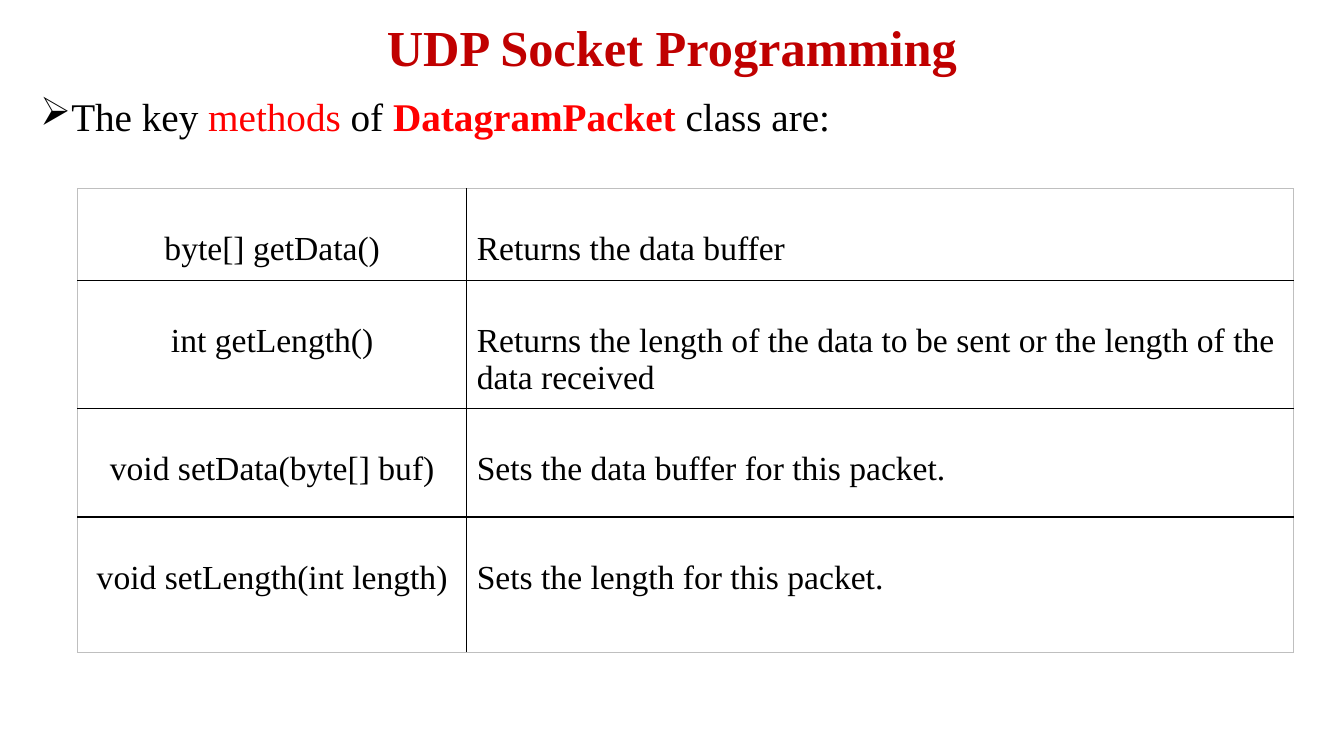
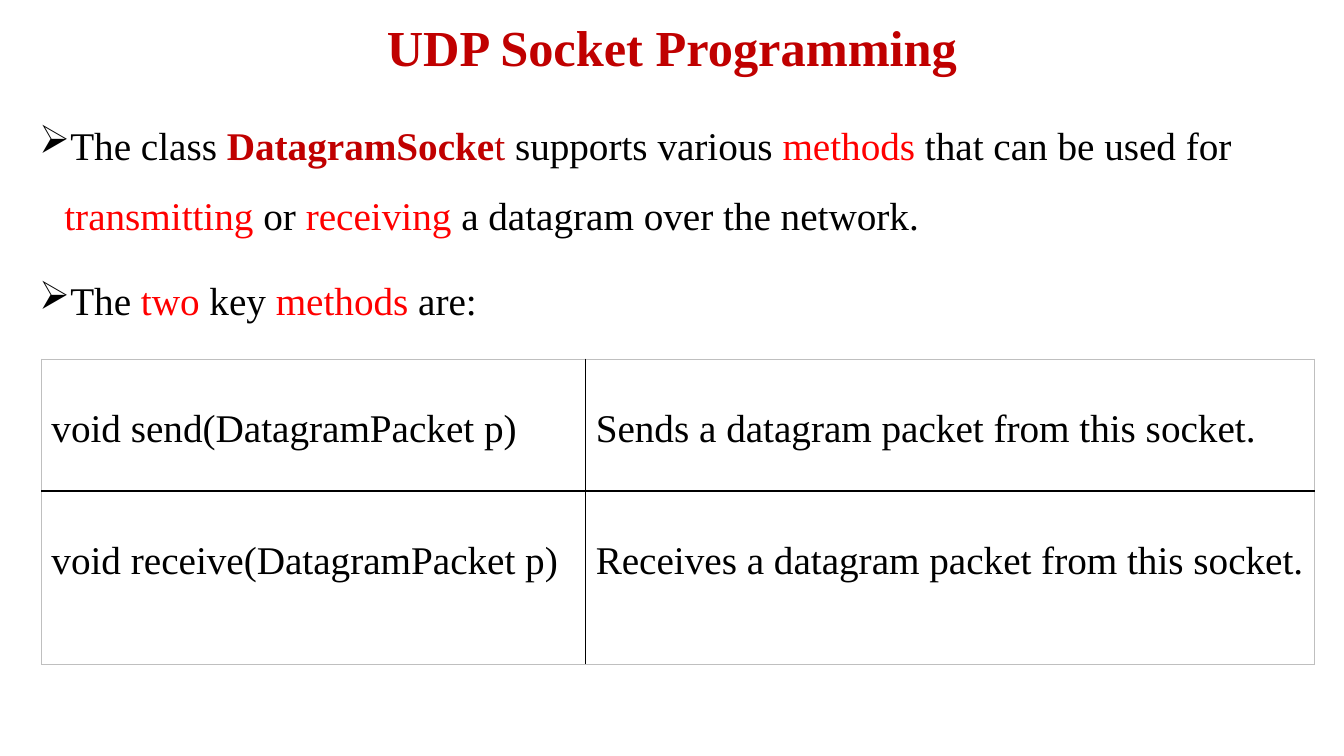
from lxml.etree import SubElement
from pptx import Presentation
from pptx.dml.color import RGBColor
from pptx.enum.text import MSO_ANCHOR, PP_ALIGN
from pptx.oxml import parse_xml
from pptx.oxml.ns import nsdecls, qn
from pptx.util import Inches, Pt

W, H = Inches(13.33), Inches(7.5)
FONT = "Times New Roman"
BLACK, RED, DARK_RED, GRAY = "000000", "FF0000", "C00000", "BFBFBF"
TITLE = "UDP Socket Programming"


def rgb(color):
    return RGBColor.from_string(color)


def across(percent):
    return int(W * percent / 100)


def down(percent):
    return int(H * percent / 100)


def place(sp, left, top, width, height):
    sp.left, sp.top = across(left), down(top)
    sp.width, sp.height = across(width), down(height)


def add_run(p, text, size, color=BLACK, bold=False):
    r = p.add_run()
    r.text = text
    r.font.name = FONT
    r.font.size = Pt(size)
    r.font.bold = bold
    r.font.color.rgb = rgb(color)


def add_titled_slide(prs):
    s = prs.slides.add_slide(prs.slide_layouts[5])
    sp = s.shapes.title
    place(sp, 16.25, 2.25, 67.5, 8.9)
    sp.text_frame.vertical_anchor = MSO_ANCHOR.MIDDLE
    p = sp.text_frame.paragraphs[0]
    p.alignment = PP_ALIGN.CENTER
    p.line_spacing = 0.9
    add_run(p, TITLE, 36, DARK_RED, True)
    return s


def add_bullets(s, left, width, line_spacing, bullets):
    sp = s.shapes.add_textbox(0, 0, 0, 0)
    place(sp, left, 12.25, width, 84.4)
    tf = sp.text_frame
    tf.word_wrap = True
    for i, runs in enumerate(bullets):
        p = tf.add_paragraph() if i else tf.paragraphs[0]
        p.line_spacing = line_spacing
        p.space_before = Pt(10)
        pPr = p._p.get_or_add_pPr()
        pPr.set("marL", str(Inches(0.25)))
        pPr.set("indent", str(-Inches(0.25)))
        SubElement(pPr, qn("a:buChar")).set("char", "➢")
        for run in runs:
            add_run(p, run[0], 28, *run[1:])


def set_borders(cell, outer):
    tcPr = cell._tc.get_or_add_tcPr()
    for i, side in enumerate("LRTB"):
        color, width = (GRAY, 0.5) if side in outer else (BLACK, 1)
        tcPr.insert(i, parse_xml(
            f'<a:ln{side} {nsdecls("a")} w="{Pt(width)}"><a:solidFill>'
            f'<a:srgbClr val="{color}"/></a:solidFill></a:ln{side}>'))


def add_method_table(s, left, top, cols, heights, size, margin_top, methods, name_align):
    frame = s.shapes.add_table(len(methods), len(cols), across(left), down(top),
                               across(sum(cols)), down(sum(heights)))
    table = frame.table
    table.first_row = table.horz_banding = False
    for col, width in zip(table.columns, cols):
        col.width = across(width)
    for i, (height, texts) in enumerate(zip(heights, methods)):
        table.rows[i].height = down(height)
        for j, text in enumerate(texts):
            cell = table.cell(i, j)
            cell.fill.background()
            cell.margin_top = Inches(margin_top)
            outer = "LR"[j]
            outer += "T" if i == 0 else ""
            outer += "B" if i == len(methods) - 1 else ""
            set_borders(cell, outer)
            p = cell.text_frame.paragraphs[0]
            p.alignment = PP_ALIGN.LEFT if j else name_align
            add_run(p, text, size)


def packet_slide(prs):
    s = add_titled_slide(prs)
    add_bullets(s, 2.25, 95.9, 0.9, [
        [("The key ",), ("methods", RED), (" of ",),
         ("DatagramPacket", RED, True), (" class are:",)],
    ])
    add_method_table(s, 5.78, 24.93, (28.95, 61.5), (12.13, 16.8, 14.4, 17.87), 24, 0.42, [
        ("byte[] getData()", "Returns the data buffer"),
        ("int getLength()",
         "Returns the length of the data to be sent or the length of the data received"),
        ("void setData(byte[] buf)", "Sets the data buffer for this packet."),
        ("void setLength(int length)", "Sets the length for this packet."),
    ], PP_ALIGN.CENTER)


def socket_slide(prs):
    s = add_titled_slide(prs)
    add_bullets(s, 2.18, 95.7, 1.5, [
        [("The class ",), ("DatagramSocke", DARK_RED, True), ("t", DARK_RED),
         (" supports various ",), ("methods", RED), (" that can be used for ",),
         ("transmitting", RED), (" or ",), ("receiving ", RED),
         ("a datagram over the network.",)],
        [("The ",), ("two", RED), (" key ",), ("methods", RED), (" are:",)],
    ])
    add_method_table(s, 3.08, 47.47, (40.5, 54.24), (17.47, 22.93), 28, 0.48, [
        ("void send(DatagramPacket p)", "Sends a datagram packet from this socket."),
        ("void receive(DatagramPacket p)", "Receives a datagram packet from this socket."),
    ], PP_ALIGN.LEFT)


def main():
    prs = Presentation()
    prs.slide_width, prs.slide_height = W, H
    packet_slide(prs)
    socket_slide(prs)
    prs.save("out.pptx")


if __name__ == "__main__":
    main()
